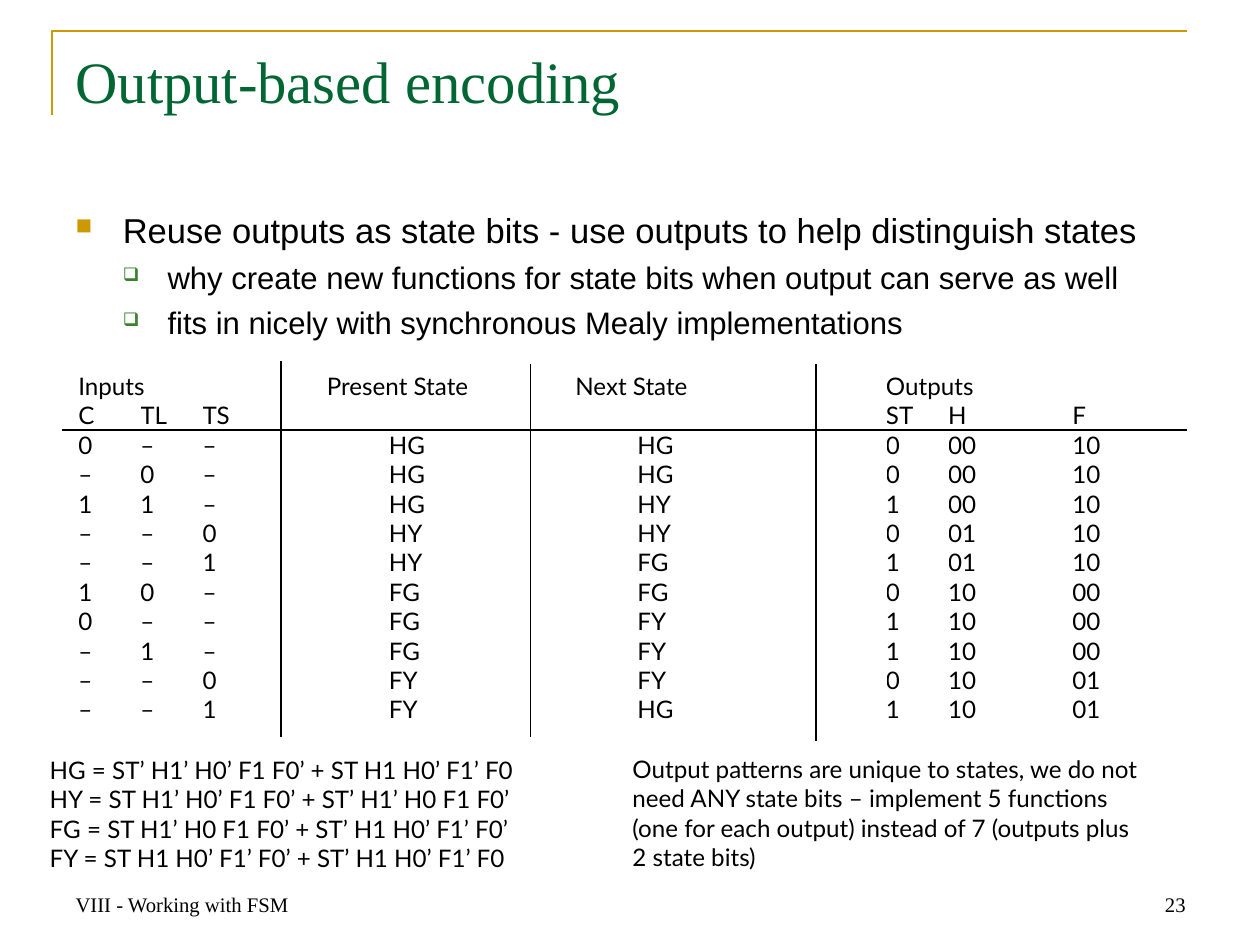
from dataclasses import dataclass

from lxml.etree import SubElement
from pptx import Presentation
from pptx.dml.color import RGBColor
from pptx.enum.shapes import MSO_CONNECTOR
from pptx.enum.text import MSO_ANCHOR, PP_ALIGN
from pptx.oxml.ns import qn
from pptx.util import Inches, Pt


@dataclass(frozen=True)
class Theme:
    """Colours, fonts and sizes of the deck."""
    ink: str = "000000"
    heading: str = "006633"
    gold: str = "CC9900"
    green: str = "3B812F"
    serif: str = "Times New Roman"
    sans: str = "Arial"
    technical: str = "Lato"
    title_size: float = 34
    point_size: float = 20
    subpoint_size: float = 18
    detail_size: float = 14
    footer_size: float = 12
    detail_leading: float = 17
    point_gap: float = 4.8
    frame_width: float = 1.5
    rule_width: float = 1


class SlideBuilder:
    """Draws styled elements on one slide."""

    def __init__(self, slide, theme):
        """Keep the slide and its theme."""
        self.shapes = slide.shapes
        self.theme = theme

    def add_run(self, paragraph, text, size, font, color):
        """Append one styled run."""
        run = paragraph.add_run()
        run.text = text
        run.font.size = Pt(size)
        run.font.name = font
        run.font.color.rgb = RGBColor.from_string(color)

    def box(self, left, top, width, height, inset=(0.1, 0.05), wrap=True):
        """Add an empty text box and return its frame."""
        frame = self.shapes.add_textbox(*map(Inches, (left, top, width, height))).text_frame
        frame.word_wrap = wrap
        frame.margin_left = frame.margin_right = Inches(inset[0])
        frame.margin_top = frame.margin_bottom = Inches(inset[1])
        return frame

    def title(self, text):
        """Add the slide title."""
        frame = self.box(0.51, 0.31, 9.12, 1.26)
        self.add_run(frame.paragraphs[0], text, self.theme.title_size,
                     self.theme.serif, self.theme.heading)

    def footer(self, left, text, alignment):
        """Add one footer item."""
        frame = self.box(left, 6.92, 2.37, 0.51)
        frame.vertical_anchor = MSO_ANCHOR.BOTTOM
        frame.paragraphs[0].alignment = alignment
        self.add_run(frame.paragraphs[0], text, self.theme.footer_size,
                     self.theme.serif, self.theme.ink)

    def bullet(self, paragraph, symbol, color, percent, margin, hanging):
        """Give a paragraph a coloured hanging bullet."""
        properties = paragraph._p.get_or_add_pPr()
        properties.set("marL", str(Inches(margin)))
        properties.set("indent", str(-Inches(hanging)))
        tint = SubElement(properties, qn("a:buClr"))
        SubElement(tint, qn("a:srgbClr"), val=color)
        SubElement(properties, qn("a:buSzPct"), val=str(percent * 1000))
        SubElement(properties, qn("a:buChar"), char=symbol)

    def outline(self, point, subpoints):
        """Add a main point with its subpoints."""
        theme = self.theme
        frame = self.box(0.51, 1.63, 9.12, 1.25)
        self.bullet(frame.paragraphs[0], "■", theme.gold, 65, 0.38, 0.38)
        self.add_run(frame.paragraphs[0], point, theme.point_size, theme.sans, theme.ink)
        for subpoint in subpoints:
            paragraph = frame.add_paragraph()
            paragraph.level = 1
            paragraph.space_before = Pt(theme.point_gap)
            self.bullet(paragraph, "❑", theme.green, 60, 0.74, 0.36)
            self.add_run(paragraph, subpoint, theme.subpoint_size, theme.sans, theme.ink)

    def detail(self, left, top, width, height, lines):
        """Add a block of detail lines."""
        paragraph = self.box(left, top, width, height, (0.02, 0.03), False).paragraphs[0]
        paragraph.line_spacing = Pt(self.theme.detail_leading)
        for index, line in enumerate(lines):
            if index:
                paragraph.add_line_break()
            self.add_run(paragraph, line, self.theme.detail_size,
                         self.theme.technical, self.theme.ink)

    def table(self, left, top, widths, rows, merges, indented):
        """Add an unfilled table with merged headings and indented columns."""
        theme = self.theme
        row_height = Pt(theme.detail_leading)
        table = self.shapes.add_table(len(rows), len(widths), Inches(left), Inches(top),
                                      Inches(sum(widths)), row_height * len(rows)).table
        table.first_row = table.horz_banding = False
        for column, width in zip(table.columns, widths):
            column.width = Inches(width)
        for row_index, values in enumerate(rows):
            table.rows[row_index].height = row_height
            for column_index, value in enumerate(values):
                cell = table.cell(row_index, column_index)
                cell.fill.background()
                cell.margin_left = cell.margin_right = cell.margin_top = cell.margin_bottom = 0
                if row_index > 1 and column_index in indented:
                    cell.margin_left = Inches(0.5)
                paragraph = cell.text_frame.paragraphs[0]
                paragraph.line_spacing = row_height
                if value:
                    self.add_run(paragraph, value, theme.detail_size,
                                 theme.technical, theme.ink)
        for first, last in merges:
            table.cell(*first).merge(table.cell(*last))

    def rule(self, x1, y1, x2, y2):
        """Add a straight rule."""
        line = self.shapes.add_connector(MSO_CONNECTOR.STRAIGHT,
                                         *map(Inches, (x1, y1, x2, y2)))
        line.line.color.rgb = RGBColor.from_string(self.theme.ink)
        line.line.width = Pt(self.theme.rule_width)
        SubElement(line._element.spPr, qn("a:effectLst"))

    def corner(self, left, top, right, bottom):
        """Add the open corner around the title."""
        outline = self.shapes.build_freeform(Inches(left), Inches(bottom))
        outline.add_line_segments([(Inches(left), Inches(top)),
                                   (Inches(right), Inches(top))], close=False)
        corner = outline.convert_to_shape()
        corner.shadow.inherit = False
        corner.fill.background()
        corner.line.color.rgb = RGBColor.from_string(self.theme.gold)
        corner.line.width = Pt(self.theme.frame_width)


TRANSITIONS = [
    ("Inputs", "", "", "Present State", "Next State", "Outputs", "", ""),
    ("C", "TL", "TS", "", "", "ST", "H", "F"),
    ("0", "–", "–", "HG", "HG", "0", "00", "10"),
    ("–", "0", "–", "HG", "HG", "0", "00", "10"),
    ("1", "1", "–", "HG", "HY", "1", "00", "10"),
    ("–", "–", "0", "HY", "HY", "0", "01", "10"),
    ("–", "–", "1", "HY", "FG", "1", "01", "10"),
    ("1", "0", "–", "FG", "FG", "0", "10", "00"),
    ("0", "–", "–", "FG", "FY", "1", "10", "00"),
    ("–", "1", "–", "FG", "FY", "1", "10", "00"),
    ("–", "–", "0", "FY", "FY", "0", "10", "01"),
    ("–", "–", "1", "FY", "HG", "1", "10", "01"),
]
HEADING_MERGES = [((0, 0), (0, 2)), ((0, 3), (1, 3)), ((0, 4), (1, 4)), ((0, 5), (0, 7))]
EQUATIONS = [
    "HG = ST’ H1’ H0’ F1 F0’ + ST H1 H0’ F1’ F0",
    "HY = ST H1’ H0’ F1 F0’ + ST’ H1’ H0 F1 F0’",
    "FG = ST H1’ H0 F1 F0’ + ST’ H1 H0’ F1’ F0’",
    "FY = ST H1 H0’ F1’ F0’ + ST’ H1 H0’ F1’ F0",
]
CONCLUSION = [
    "Output patterns are unique to states, we do not",
    "need ANY state bits – implement 5 functions",
    "(one for each output) instead of 7 (outputs plus",
    "2 state bits)",
]


def main():
    """Build and save the slide."""
    deck = Presentation()
    deck.slide_width, deck.slide_height = Inches(10.14), Inches(7.6)
    builder = SlideBuilder(deck.slides.add_slide(deck.slide_layouts[6]), Theme())
    builder.corner(0.42, 0.25, 9.55, 0.93)
    builder.footer(0.51, "VIII - Working with FSM", PP_ALIGN.LEFT)
    builder.footer(7.27, "23", PP_ALIGN.RIGHT)
    builder.title("Output-based encoding")
    builder.outline("Reuse outputs as state bits - use outputs to help distinguish states",
                    ["why create new functions for state bits when output can serve as well",
                     "fits in nicely with synchronous Mealy implementations"])
    builder.detail(0.38, 6.05, 4.51, 1.36, EQUATIONS)
    builder.detail(5.07, 6.04, 4.76, 1, CONCLUSION)
    builder.table(0.63, 2.99, (0.5, 0.5, 1, 2, 2.5, 0.5, 1, 1), TRANSITIONS,
                  HEADING_MERGES, indented=(3, 4))
    builder.rule(0.5, 3.46, 9.55, 3.46)
    for x, top, bottom in ((2.26, 2.91, 5.93), (4.27, 2.93, 5.93), (6.57, 2.93, 5.97)):
        builder.rule(x, top, x, bottom)
    deck.save("out.pptx")


if __name__ == "__main__":
    main()
